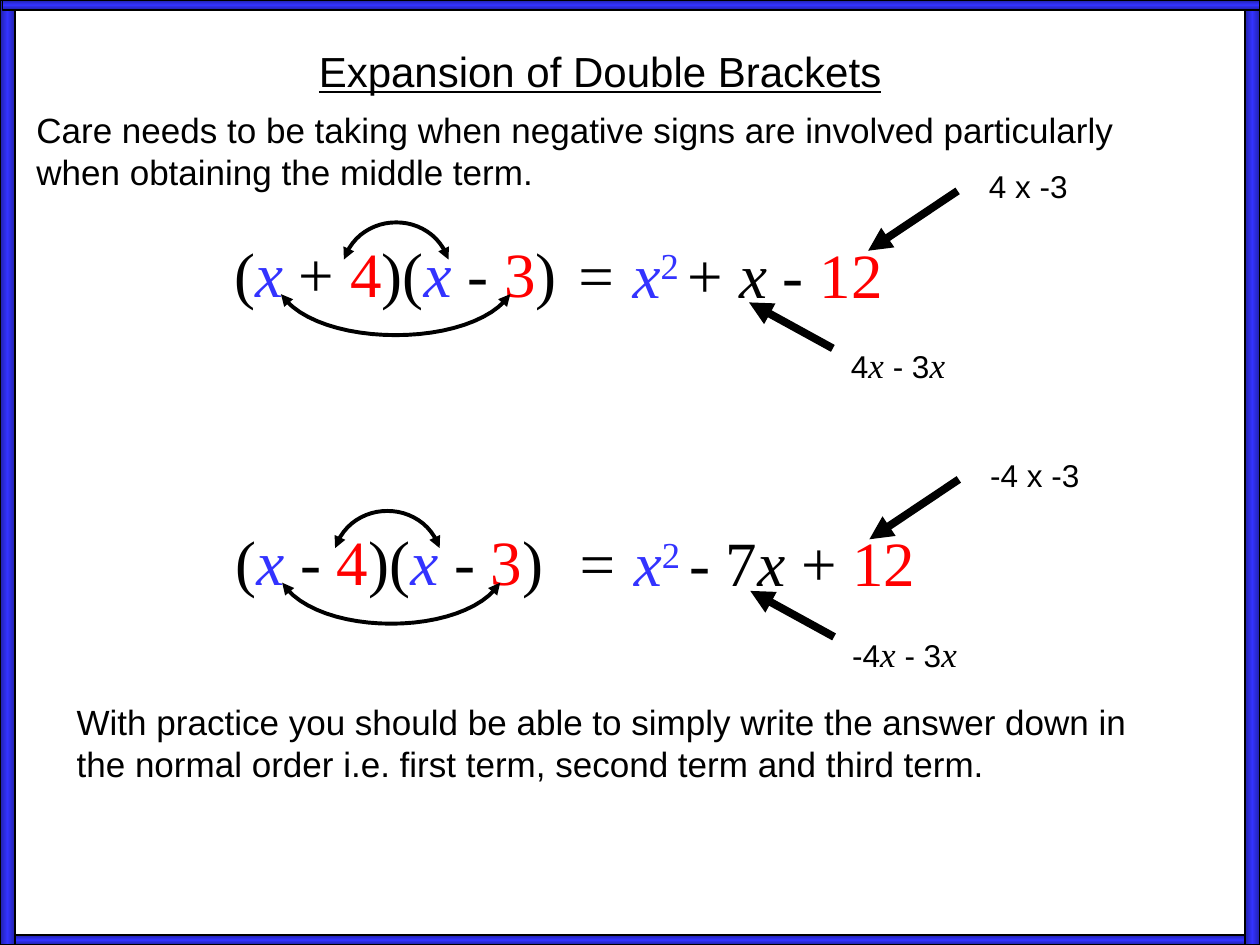
import copy

import lxml.etree
import pptx
import pptx.dml.color
import pptx.enum.shapes
import pptx.enum.text
import pptx.oxml.ns
import pptx.util

BLACK, BLUE, DARK_BLUE, RED = "000000", "3333FF", "2121A8", "FF0000"
SANS, SERIF = "Arial", "Times New Roman"
COLUMNS, ROWS = 100, 75
ARC_STEPS, ARC_PULL = 24, 0.16

BLUE_X = ("x", {"color": BLUE, "italic": True})
SMALL_X = ("x", {"size": 20, "font": SERIF, "italic": True})
SQUARED = ("2 ", {"color": BLUE, "superscript": True})
EQUALS = ("= ", {"italic": True})
BLACK_X = ("x ", {"italic": True})


def rgb(hex_color):
    return pptx.dml.color.RGBColor.from_string(hex_color)


def red(text):
    return (text, {"color": RED})


def add_run(paragraph, text, size=20, font=SANS, color=BLACK, italic=False,
            underline=False, superscript=False):
    run = paragraph.add_run()
    run.text = text
    run.font.size = pptx.util.Pt(size)
    run.font.name = font
    run.font.color.rgb = rgb(color)
    run.font.italic = italic
    run.font.underline = underline
    if superscript:
        run._r.get_or_add_rPr().set("baseline", "30000")


class Board:
    """Slide on a grid of COLUMNS by ROWS; every length is in grid cells."""

    def __init__(self, deck):
        self.column = deck.slide_width / COLUMNS
        self.row = deck.slide_height / ROWS
        self.slide = deck.slides.add_slide(deck.slide_layouts[5])
        self.shapes = self.slide.shapes

    def point(self, x, y):
        return round(x * self.column), round(y * self.row)

    def start_group(self):
        self.shapes = self.slide.shapes.add_group_shape().shapes

    def end_group(self):
        self.shapes = self.slide.shapes

    def bar(self, x, y, width, height):
        """Frame bar, shaded across its short side."""
        bar = self.shapes.add_shape(pptx.enum.shapes.MSO_SHAPE.RECTANGLE,
                                    *self.point(x, y), *self.point(width, height))
        bar.shadow.inherit = False
        bar.fill.gradient()
        bar.fill.gradient_angle = 90 if width > height else 0
        first_stop = bar.fill.gradient_stops[0]._gs
        first_stop.addnext(copy.deepcopy(first_stop))
        shades = (DARK_BLUE, BLUE, DARK_BLUE)
        for index, (stop, shade) in enumerate(zip(bar.fill.gradient_stops, shades)):
            stop.position = index / 2
            stop.color.rgb = rgb(shade)
        self.outline(bar, 0.75)

    def outline(self, shape, weight, arrow_ends=()):
        shape.line.color.rgb = rgb(BLACK)
        shape.line.width = pptx.util.Pt(weight)
        for end in arrow_ends:
            lxml.etree.SubElement(shape.line._get_or_add_ln(),
                                  pptx.oxml.ns.qn(f"a:{end}"), type="triangle")

    def fill_text(self, frame, pieces, **style):
        frame.word_wrap = True
        frame.auto_size = pptx.enum.text.MSO_AUTO_SIZE.SHAPE_TO_FIT_TEXT
        frame.vertical_anchor = pptx.enum.text.MSO_ANCHOR.TOP
        paragraph = frame.paragraphs[0]
        paragraph.alignment = pptx.enum.text.PP_ALIGN.LEFT
        for piece in pieces:
            text, changes = (piece, {}) if isinstance(piece, str) else piece
            add_run(paragraph, text, **{**style, **changes})

    def title(self, x, y, width, height, text):
        title = self.slide.shapes.title
        title.left, title.top = self.point(x, y)
        title.width, title.height = self.point(width, height)
        self.fill_text(title.text_frame, [text], size=24, underline=True)

    def text(self, x, y, width, height, *pieces, **style):
        box = self.shapes.add_textbox(*self.point(x, y), *self.point(width, height))
        self.fill_text(box.text_frame, pieces, **style)

    def arrow(self, x, y, end_x, end_y):
        arrow = self.shapes.add_connector(pptx.enum.shapes.MSO_CONNECTOR.STRAIGHT,
                                          *self.point(x, y), *self.point(end_x, end_y))
        self.outline(arrow, 4.5, ["tailEnd"])
        lxml.etree.SubElement(arrow._element.spPr, pptx.oxml.ns.qn("a:effectLst"))

    def arc(self, x, y, width, rise):
        """Two-headed curve between points on one level; a negative rise hangs down."""
        points = []
        for step in range(ARC_STEPS + 1):
            t = step / ARC_STEPS
            across = (3 * t * (1 - t) ** 2 * ARC_PULL
                      + 3 * t ** 2 * (1 - t) * (1 - ARC_PULL) + t ** 3)
            points.append(self.point(x + width * across, y - rise * 4 * t * (1 - t)))
        builder = self.shapes.build_freeform(*points[0])
        builder.add_line_segments(points[1:], close=False)
        curve = builder.convert_to_shape()
        curve.shadow.inherit = False
        curve.fill.background()
        self.outline(curve, 2.25, ["headEnd", "tailEnd"])

    def example(self, x, y, brackets, answer, last_term, middle_term,
                inner_start, outer_width):
        """Worked expansion with its linking arcs and the notes on two terms."""
        self.start_group()
        self.text(x, y, 34.4, 7, *brackets, size=36, font=SERIF)
        self.arc(x + inner_start, y + 2.5, 8.3, 2.95)
        self.arc(x + 4.7, y + 5.25, outer_width, -3.25)
        self.text(x + 27, y + 0.1, 33.6, 7, *answer, size=36, font=SERIF)
        self.arrow(x + 58.4, y - 2.95, x + 51.3, y + 1.8)
        self.text(x + 59.9, y - 5.3, 10, 4, last_term, size=18)
        self.arrow(x + 48.5, y + 9.55, x + 41.85, y + 5.9)
        self.text(x + 48.95, y + 8.7, 11.5, 4.4, *middle_term, size=18)
        self.end_group()


def main():
    deck = pptx.Presentation()
    deck.slide_width = pptx.util.Inches(10)
    deck.slide_height = pptx.util.Inches(7.5)
    board = Board(deck)

    side, edge = 1.2, 0.8
    board.bar(0, ROWS - edge, COLUMNS, edge)
    board.bar(0, 0, side, ROWS)
    board.bar(COLUMNS - side, 0, side, ROWS)
    board.bar(0.2, 0, COLUMNS - 0.2, edge)

    board.title(24.3, 3.1, 47.6, 5, "Expansion of Double Brackets")
    board.text(1.9, 8.1, 93.9, 7.7,
               "Care needs to be taking when negative signs are involved "
               "particularly when obtaining the middle term.")
    board.example(
        17.6, 18.1,
        brackets=["(", BLUE_X, " + ", red("4"), ")(", BLUE_X, " - ", red("3"), ")"],
        answer=[EQUALS, BLUE_X, SQUARED, "+ ", BLACK_X, "-", red(" 12")],
        last_term="4 x -3", middle_term=["4", SMALL_X, " - 3", SMALL_X],
        inner_start=9.7, outer_width=18.2)
    board.example(
        17.7, 41,
        brackets=["(", BLUE_X, " - ", red("4"), ")(", BLUE_X, " - ", red("3"), ")"],
        answer=[EQUALS, BLUE_X, SQUARED, "- 7", BLACK_X, "+", red(" 12")],
        last_term="-4 x -3", middle_term=["-4", SMALL_X, " - 3", SMALL_X],
        inner_start=8.9, outer_width=17.3)
    board.text(5.1, 55.1, 88.5, 7.7,
               "With practice you should be able to simply write the answer down "
               "in the normal order i.e. first term, second term and third term.")

    deck.save("out.pptx")


if __name__ == "__main__":
    main()
